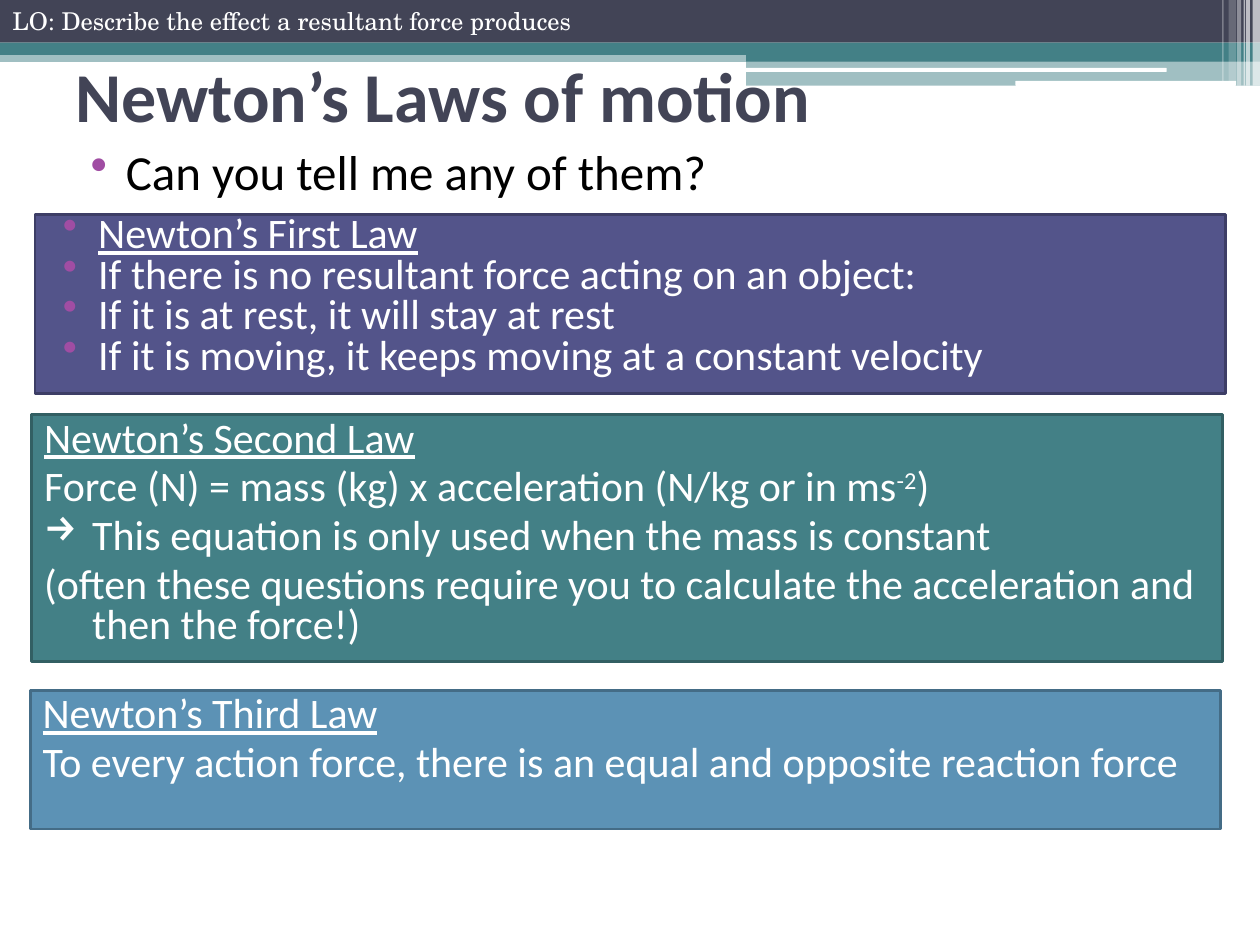
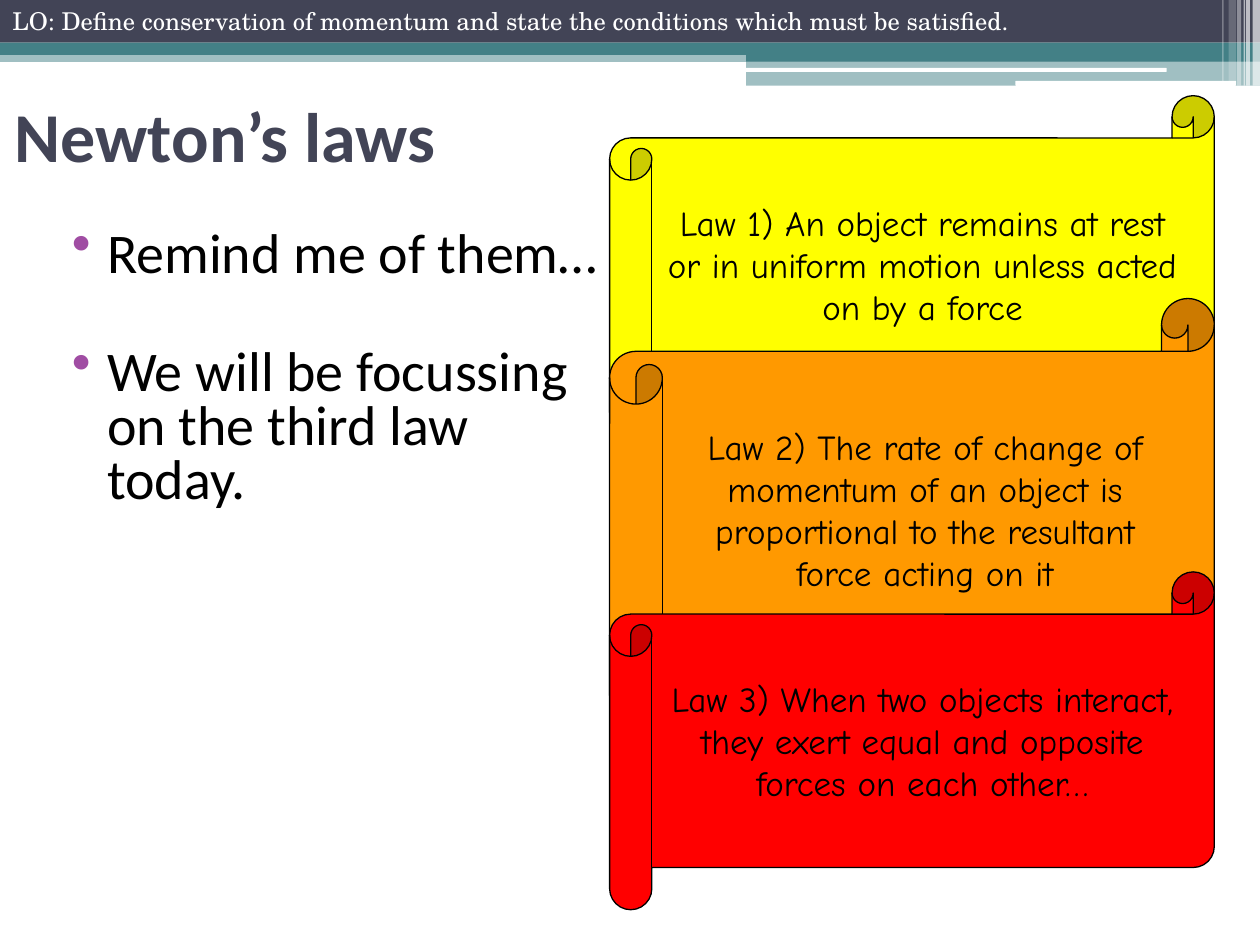
from lxml import etree
from pptx import Presentation, util as u
from pptx.dml.color import RGBColor
from pptx.enum import shapes, text
from pptx.oxml.ns import qn

NAVY, TEAL, WHITE, BLACK, PURPLE = "424456", "438086", "FFFFFF", "000000", "A04DA3"
BODY_FONT, SCROLL_FONT, OBJECTIVE_FONT = "Calibri", "Comic Neue", "TeX Gyre Schola"
RECT = shapes.MSO_SHAPE.RECTANGLE
ROUNDED = shapes.MSO_SHAPE.ROUNDED_RECTANGLE
SCROLL = shapes.MSO_SHAPE.HORIZONTAL_SCROLL
TOP, MIDDLE = text.MSO_ANCHOR.TOP, text.MSO_ANCHOR.MIDDLE

BANDS = [
    (RECT, (0, 1.02, 25.4, 0.23), TEAL, 50),
    (RECT, (0, 0, 25.4, 0.86), NAVY, 100),
    (RECT, (0, 0.86, 25.4, 0.25), TEAL, 100),
    (RECT, (15.04, 0.99, 10.36, 0.25), TEAL, 100),
    (RECT, (15.04, 1.22, 10.36, 0.51), TEAL, 50),
    (ROUNDED, (15.01, 1.37, 8.51, 0.08), WHITE, 100),
    (ROUNDED, (20.47, 1.63, 4.45, 0.1), WHITE, 100),
]
STRIPES = [
    (25.25, 0.15, 1.73, 65),
    (25.12, 0.08, 1.73, 65),
    (25.07, 0.03, 1.73, 60),
    (24.94, 0.08, 1.73, 40),
    (24.77, 0.15, 1.63, 20),
    (24.64, 0.03, 1.63, 30),
]


def colour(hex_value):
    return RGBColor.from_string(hex_value)


def cm(box):
    return [u.Cm(length) for length in box]


def add_panel(slide, kind, box, fill, opacity=100, border=None, border_width=1.5):
    panel = slide.shapes.add_shape(kind, *cm(box))
    panel.shadow.inherit = False
    panel.fill.solid()
    panel.fill.fore_color.rgb = colour(fill)
    if opacity < 100:
        tint = panel.fill._xPr.find(".//" + qn("a:srgbClr"))
        etree.SubElement(tint, qn("a:alpha"), val=str(opacity * 1000))
    if border:
        panel.line.color.rgb = colour(border)
        panel.line.width = u.Pt(border_width)
    else:
        panel.line.fill.background()
    return panel


def add_text_frame(slide, box, anchor=TOP):
    frame = slide.shapes.add_textbox(*cm(box)).text_frame
    frame.word_wrap = True
    frame.vertical_anchor = anchor
    return frame


def set_indent(paragraph, left, hanging, bullet=None, bullet_colour=None):
    properties = paragraph._p.get_or_add_pPr()
    properties.set("marL", str(u.Cm(left)))
    properties.set("indent", str(-u.Cm(hanging)))
    if bullet_colour:
        holder = etree.SubElement(properties, qn("a:buClr"))
        etree.SubElement(holder, qn("a:srgbClr"), val=bullet_colour)
    if bullet:
        etree.SubElement(properties, qn("a:buChar"), char=bullet)


def set_font(paragraph, name, size, hex_value, bold=False, underline=None):
    font = paragraph.font
    font.name, font.size, font.bold = name, u.Pt(size), bold
    font.underline = underline
    font.color.rgb = colour(hex_value)


def next_paragraph(frame, index, spacing, gap):
    paragraph = frame.add_paragraph() if index else frame.paragraphs[0]
    paragraph.alignment = text.PP_ALIGN.LEFT
    paragraph.line_spacing = spacing
    if index:
        paragraph.space_before = u.Pt(gap)
    return paragraph


def write_bullets(frame, lines, size, hex_value, spacing=1.0, gap=3, heading=False):
    for index, line in enumerate(lines):
        paragraph = next_paragraph(frame, index, spacing, gap)
        set_indent(paragraph, 1.02, 0.71, "•", PURPLE)
        set_font(paragraph, BODY_FONT, size, hex_value,
                 underline=True if heading and index == 0 else None)
        paragraph.add_run().text = line


def write_statements(frame, statements):
    for index, (bullet, *parts) in enumerate(statements):
        paragraph = next_paragraph(frame, index, 0.8, 4.8)
        set_indent(paragraph, 0.97, 0.97, bullet)
        set_font(paragraph, BODY_FONT, 24, WHITE, underline=True if index == 0 else None)
        for position, part in enumerate(parts):
            run = paragraph.add_run()
            run.text = part
            if position % 2:
                run._r.get_or_add_rPr().set("baseline", "30000")


def add_law_box(slide, box, fill, border):
    frame = add_panel(slide, RECT, box, fill, border=border).text_frame
    frame.word_wrap = True
    frame.vertical_anchor = TOP
    return frame


def add_scroll(slide, top, height, fill, law):
    scroll = add_panel(slide, SCROLL, (12.29, top, 12.19, height), fill,
                       border=BLACK, border_width=0.75)
    frame = scroll.text_frame
    frame.word_wrap = True
    frame.vertical_anchor = MIDDLE
    paragraph = frame.paragraphs[0]
    paragraph.alignment = text.PP_ALIGN.CENTER
    set_font(paragraph, SCROLL_FONT, 20, BLACK)
    paragraph.add_run().text = law


def add_line(slide, box, words, font, size, hex_value, bold=False, anchor=TOP):
    paragraph = add_text_frame(slide, box, anchor).paragraphs[0]
    set_font(paragraph, font, size, hex_value, bold)
    paragraph.add_run().text = words


def start_slide(deck, title, title_box, objective):
    slide = deck.slides.add_slide(deck.slide_layouts[6])
    for kind, box, fill, opacity in BANDS:
        add_panel(slide, kind, box, fill, opacity)
    for left, width, height, opacity in STRIPES:
        add_panel(slide, RECT, (left, 0, width, height), WHITE, opacity)
    add_line(slide, title_box, title, BODY_FONT, 40, NAVY, True, MIDDLE)
    add_line(slide, (0, 0, 25.3, 0.86), objective, OBJECTIVE_FONT, 14, WHITE)
    return slide


def build_laws_of_motion(deck):
    slide = start_slide(deck, "Newton’s Laws of motion", (1.27, 0.43, 22.86, 2.97),
                        "LO: Describe the effect a resultant force produces")
    question = add_text_frame(slide, (1.27, 2.72, 22.86, 1.6))
    write_bullets(question, ["Can you tell me any of them?"], 28, BLACK)

    first_law = add_law_box(slide, (0.71, 4.32, 24, 3.61), "53548A", "3D3E66")
    write_bullets(first_law, [
        "Newton’s First Law",
        "If there is no resultant force acting on an object:",
        "If it is at rest, it will stay at rest",
        "If it is moving, it keeps moving at a constant velocity",
    ], 24, WHITE, spacing=0.7, heading=True)

    second_law = add_law_box(slide, (0.64, 8.36, 24, 4.98), TEAL, "325F63")
    write_statements(second_law, [
        (None, "Newton’s Second Law"),
        (None, "Force (N) = mass (kg) x acceleration (N/kg or in ms", "-2", ")"),
        ("→", "This equation is only used when the mass is constant"),
        (None, "(often these questions require you to calculate the acceleration "
               "and then the force!)"),
    ])

    third_law = add_law_box(slide, (0.61, 13.92, 24, 2.79), "5C92B5", "446C86")
    write_statements(third_law, [
        (None, "Newton’s Third Law"),
        (None, "To every action force, there is an equal and opposite reaction force"),
    ])


def build_laws_recap(deck):
    slide = start_slide(deck, "Newton’s laws", (0.05, 1.32, 24.21, 2.79),
                        "LO: Define conservation of momentum and state the conditions "
                        "which must be satisfied.")
    prompts = add_text_frame(slide, (0.89, 4.52, 11.76, 11.58))
    write_bullets(prompts, [
        "Remind me of them…",
        "We will be focussing on the third law today.",
    ], 32, BLACK, spacing=0.8, gap=37)

    add_scroll(slide, 1.93, 6.81, "FFFF00",
               "Law 1) An object remains at rest or in uniform motion unless acted "
               "on by a force")
    add_scroll(slide, 6.02, 8.51, "FF9900",
               "Law 2) The rate of change of momentum of an object is proportional "
               "to the resultant force acting on it")
    add_scroll(slide, 11.53, 6.81, "FF0000",
               "Law 3) When two objects interact, they exert equal and opposite "
               "forces on each other…")


def main():
    deck = Presentation()
    deck.slide_width, deck.slide_height = cm((25.4, 19.05))
    build_laws_of_motion(deck)
    build_laws_recap(deck)
    deck.save("out.pptx")


if __name__ == "__main__":
    main()
